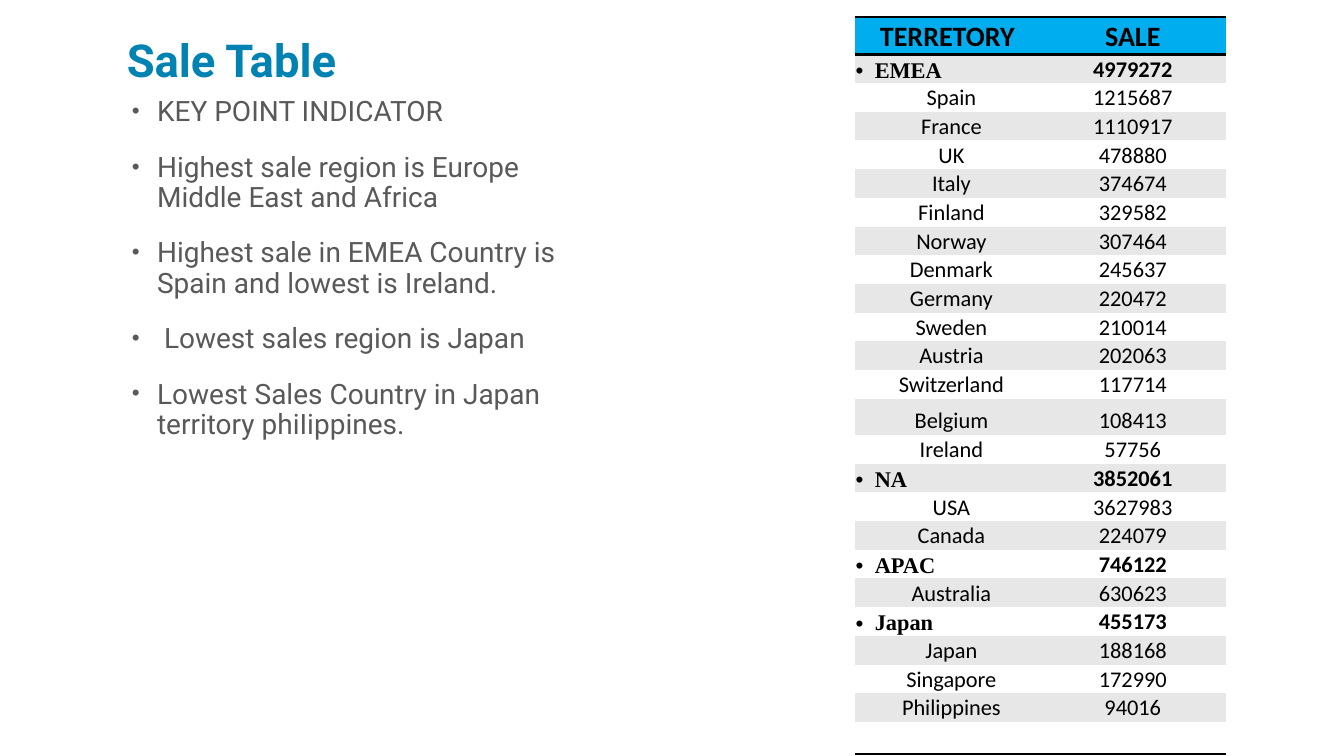
from lxml import etree
from pptx import Presentation
from pptx.dml.color import RGBColor
from pptx.enum.text import MSO_ANCHOR, PP_ALIGN
from pptx.oxml.ns import qn
from pptx.util import Pt

PX = 4572
SLIDE_WIDTH, SLIDE_HEIGHT = 2667, 1500
BOTTOM, TOP = MSO_ANCHOR.BOTTOM, MSO_ANCHOR.TOP
CENTER, LEFT = PP_ALIGN.CENTER, PP_ALIGN.LEFT

BLACK = RGBColor(0x00, 0x00, 0x00)
WHITE = RGBColor(0xFF, 0xFF, 0xFF)
BAND = RGBColor(0xE7, 0xE7, 0xE7)
HEADER = RGBColor(0x00, 0xAE, 0xEF)
TITLE = RGBColor(0x00, 0x83, 0xB3)
BODY = RGBColor(0x59, 0x59, 0x59)

PLAIN_STYLE = "{2D5ABB26-0587-4C30-8999-92F81FD0307C}"
HEADINGS = ("TERRETORY", "SALE")
POINTS = (
    "KEY POINT INDICATOR",
    "Highest sale region is Europe Middle East and Africa",
    "Highest sale in EMEA Country is Spain and lowest is Ireland.",
    " Lowest sales region is Japan",
    "Lowest Sales Country in Japan territory phiIippines.",
)
TERRITORIES = (
    ("EMEA", 4979272, (
        ("Spain", 1215687), ("France", 1110917), ("UK", 478880),
        ("Italy", 374674), ("Finland", 329582), ("Norway", 307464),
        ("Denmark", 245637), ("Germany", 220472), ("Sweden", 210014),
        ("Austria", 202063), ("Switzerland", 117714), ("Belgium", 108413),
        ("Ireland", 57756))),
    ("NA", 3852061, (("USA", 3627983), ("Canada", 224079))),
    ("APAC", 746122, (("Australia", 630623),)),
    ("Japan", 455173, (
        ("Japan", 188168), ("Singapore", 172990), ("Philippines", 94016))),
)


class SlideBuilder:
    def __init__(self, deck):
        self.page = deck.slides.add_slide(deck.slide_layouts[6])

    def style(self, para, font, size, color, bold=False, align=LEFT):
        para.alignment = align
        para.font.name = font
        para.font.size = Pt(size)
        para.font.bold = bold
        para.font.color.rgb = color

    def bullet(self, para, indent, hanging, color, percent):
        properties = para._p.get_or_add_pPr()
        properties.set("marL", str(indent * PX))
        properties.set("indent", str(-hanging * PX))
        tint = etree.SubElement(properties, qn("a:buClr"))
        etree.SubElement(tint, qn("a:srgbClr"), val=str(color))
        etree.SubElement(properties, qn("a:buSzPct"), val=str(percent * 1000))
        etree.SubElement(properties, qn("a:buFont"), typeface="Arial")
        etree.SubElement(properties, qn("a:buChar"), char="•")

    def text(self, left, top, width, height, anchor):
        box = self.page.shapes.add_textbox(
            left * PX, top * PX, width * PX, height * PX)
        frame = box.text_frame
        frame.word_wrap = True
        frame.vertical_anchor = anchor
        return frame

    def title(self, words, left, top, width, height):
        para = self.text(left, top, width, height, BOTTOM).paragraphs[0]
        para.text = words
        para.line_spacing = 0.8
        self.style(para, "Roboto", 32.4, TITLE, bold=True)

    def points(self, lines, left, top, width, height):
        frame = self.text(left, top, width, height, TOP)
        for index, line in enumerate(lines):
            para = frame.add_paragraph() if index else frame.paragraphs[0]
            para.text = line
            self.bullet(para, 60, 50, BODY, 80)
            para.line_spacing = 0.9
            para.space_before = Pt(18 if index else 0)
            self.style(para, "Roboto", 20, BODY)

    def border(self, cell, *sides):
        for side in sides:
            line = etree.SubElement(
                cell._tc.get_or_add_tcPr(), qn(f"a:ln{side}"), w=str(Pt(2)))
            fill = etree.SubElement(line, qn("a:solidFill"))
            etree.SubElement(fill, qn("a:srgbClr"), val=str(BLACK))

    def cell(self, cell, words, fill, inset=2):
        cell.margin_left = inset * PX
        cell.margin_right = cell.margin_top = 2 * PX
        cell.margin_bottom = 0
        cell.vertical_anchor = BOTTOM
        cell.fill.solid()
        cell.fill.fore_color.rgb = fill
        para = cell.text_frame.paragraphs[0]
        para.text = str(words)
        return para

    def table(self, rows, left, top, column_width, heights):
        table = self.page.shapes.add_table(
            len(rows), 2, left * PX, top * PX,
            2 * column_width * PX, sum(heights) * PX).table
        table._tbl.tblPr.find(qn("a:tableStyleId")).text = PLAIN_STYLE
        for column in table.columns:
            column.width = column_width * PX
        for index, (kind, *words) in enumerate(rows):
            table.rows[index].height = heights[index] * PX
            head = kind == "head"
            fill = HEADER if head else BAND if index % 2 and kind != "end" else WHITE
            for column, word in enumerate(words):
                cell = table.cell(index, column)
                if head:
                    self.border(cell, "T", "B")
                elif kind == "end":
                    self.border(cell, "B")
                named = column == 0
                inset = 18 if named and kind == "country" else 2
                para = self.cell(cell, word, fill, inset)
                region = named and kind == "region"
                if region:
                    self.bullet(para, 38, 38, BLACK, 100)
                self.style(
                    para, "Times New Roman" if region else "Calibri",
                    20 if head else 16, BLACK, kind in ("head", "region"),
                    LEFT if region else CENTER)


def main():
    deck = Presentation()
    deck.slide_width = SLIDE_WIDTH * PX
    deck.slide_height = SLIDE_HEIGHT * PX
    rows = [("head", *HEADINGS)]
    for region, total, countries in TERRITORIES:
        rows.append(("region", region, total))
        rows.extend(("country", *country) for country in countries)
    rows.append(("end", "", ""))
    special = {"TERRETORY": 74, "Belgium": 72, "": 64}
    heights = [special.get(row[1], 57) for row in rows]

    builder = SlideBuilder(deck)
    builder.title("Sale Table", 232, 82, 1100, 100)
    builder.points(POINTS, 232, 184, 930, 1134)
    builder.table(rows, 1696, 34, 368, heights)
    deck.save("out.pptx")


if __name__ == "__main__":
    main()
